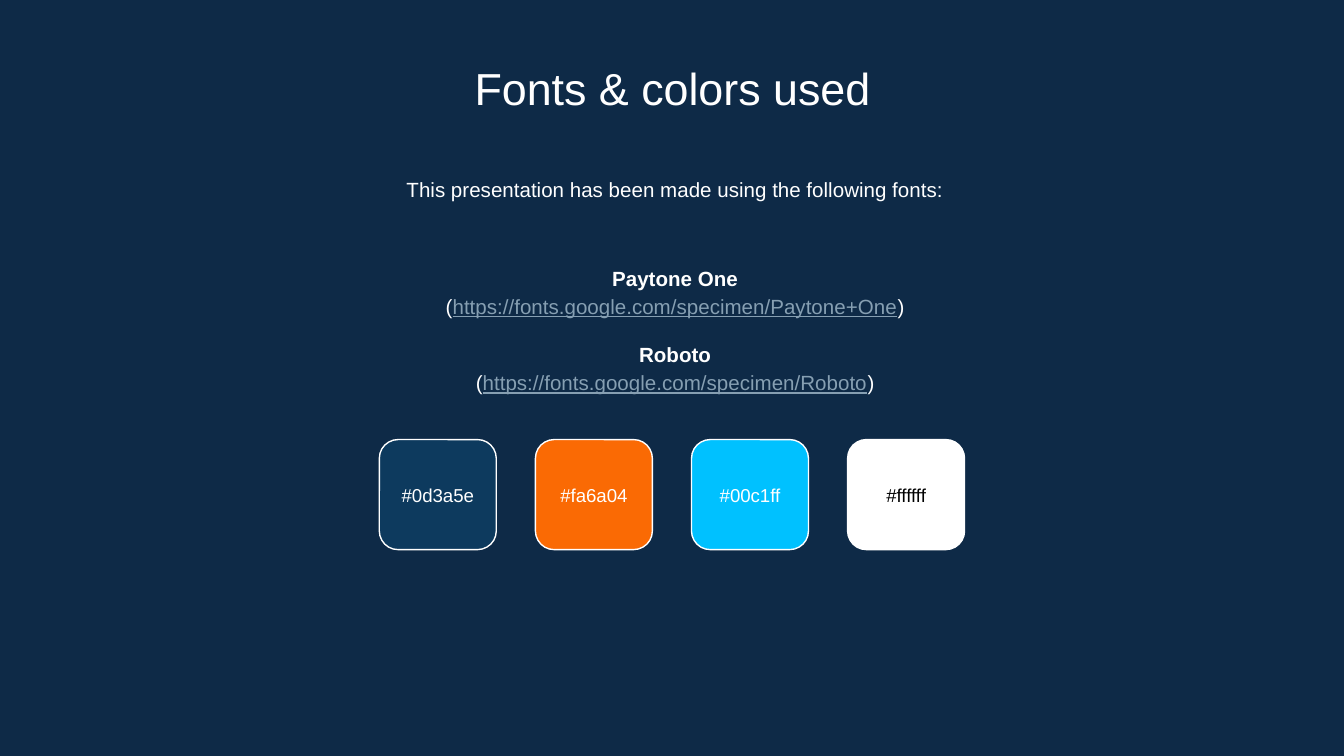
import pptx
import pptx.dml.color
import pptx.enum.shapes
import pptx.enum.text
import pptx.util

Cm = pptx.util.Cm
Pt = pptx.util.Pt
Anchor = pptx.enum.text.MSO_ANCHOR

COLORS = {
    "background": "0E2A47",
    "navy": "0D3A5E",
    "orange": "FA6A04",
    "cyan": "00C1FF",
    "white": "FFFFFF",
    "black": "000000",
    "link": "869FB2",
}
FONTS_USED = [
    ("Paytone One", "https://fonts.google.com/specimen/Paytone+One"),
    ("Roboto", "https://fonts.google.com/specimen/Roboto"),
]
SWATCHES = [("navy", "white"), ("orange", "white"), ("cyan", "white"), ("white", "black")]
SLIDE_WIDTH, SLIDE_HEIGHT = 25.4, 14.29
SWATCH_WIDTH, SWATCH_HEIGHT, SWATCH_PITCH = 2.21, 2.08, 2.95
SWATCH_TOP, LABEL_TOP, LABEL_HEIGHT = 8.31, 8.74, 1.22


def rgb(name):
    return pptx.dml.color.RGBColor.from_string(COLORS[name])


class SlideBuilder:
    font_name = "Arial"
    inset = 0.25

    def __init__(self, slide):
        self.slide = slide
        fill = slide.background.fill
        fill.solid()
        fill.fore_color.rgb = rgb("background")

    def prepare(self, frame, anchor):
        frame.word_wrap = True
        frame.auto_size = pptx.enum.text.MSO_AUTO_SIZE.NONE
        frame.vertical_anchor = anchor
        frame.margin_left = frame.margin_right = Cm(self.inset)
        frame.margin_top = frame.margin_bottom = Cm(self.inset)

    def style(self, para, size, color="white", bold=False, spacing=1.0):
        para.alignment = pptx.enum.text.PP_ALIGN.CENTER
        para.line_spacing = spacing
        para.font.name = self.font_name
        para.font.size = Pt(size)
        para.font.bold = bold
        para.font.color.rgb = rgb(color)

    def title(self, text, left, top, width, height):
        box = self.slide.shapes.title
        box.left, box.top = Cm(left), Cm(top)
        box.width, box.height = Cm(width), Cm(height)
        self.prepare(box.text_frame, Anchor.TOP)
        para = box.text_frame.paragraphs[0]
        para.text = text
        self.style(para, 24)

    def text_box(self, left, top, width, height, anchor):
        box = self.slide.shapes.add_textbox(Cm(left), Cm(top), Cm(width), Cm(height))
        self.prepare(box.text_frame, anchor)
        return box.text_frame

    def text(self, text, left, top, width, height, size, color="white",
             anchor=Anchor.MIDDLE, spacing=1.0):
        para = self.text_box(left, top, width, height, anchor).paragraphs[0]
        para.text = text
        self.style(para, size, color, spacing=spacing)

    def font_list(self, fonts, left, top, width, height):
        frame = self.text_box(left, top, width, height, Anchor.MIDDLE)
        for index, (name, address) in enumerate(fonts):
            heading = frame.add_paragraph() if index else frame.paragraphs[0]
            heading.text = name
            self.style(heading, 11, bold=True, spacing=1.15)
            if index:
                heading.space_before = Pt(10.5)
            para = frame.add_paragraph()
            for part in ("(", address, ")"):
                span = para.add_run()
                span.text = part
                if part == address:
                    span.font.underline = True
                    span.font.color.rgb = rgb("link")
            self.style(para, 11, spacing=1.15)

    def swatch(self, color, label_color, left):
        shape = self.slide.shapes.add_shape(
            pptx.enum.shapes.MSO_SHAPE.ROUNDED_RECTANGLE,
            Cm(left), Cm(SWATCH_TOP), Cm(SWATCH_WIDTH), Cm(SWATCH_HEIGHT))
        shape.shadow.inherit = False
        shape.adjustments[0] = 0.17
        shape.fill.solid()
        shape.fill.fore_color.rgb = rgb(color)
        shape.line.color.rgb = rgb("white")
        shape.line.width = Pt(0.75)
        self.text("#" + COLORS[color].lower(), left, LABEL_TOP,
                  SWATCH_WIDTH, LABEL_HEIGHT, 10, label_color)


def main():
    deck = pptx.Presentation()
    deck.slide_width, deck.slide_height = Cm(SLIDE_WIDTH), Cm(SLIDE_HEIGHT)
    page = SlideBuilder(deck.slides.add_slide(deck.slide_layouts[5]))

    page.title("Fonts & colors used", 2.92, 0.89, 19.58, 1.35)
    page.text("This presentation has been made using the following fonts:",
              2.97, 3.02, 19.58, 1.22, 11, anchor=Anchor.TOP, spacing=1.15)
    page.font_list(FONTS_USED, 2.97, 4.47, 19.58, 3.48)

    row_width = SWATCH_PITCH * (len(SWATCHES) - 1) + SWATCH_WIDTH
    first_left = (SLIDE_WIDTH - row_width) / 2
    for index, (color, label_color) in enumerate(SWATCHES):
        page.swatch(color, label_color, first_left + index * SWATCH_PITCH)

    deck.save("out.pptx")


if __name__ == "__main__":
    main()
